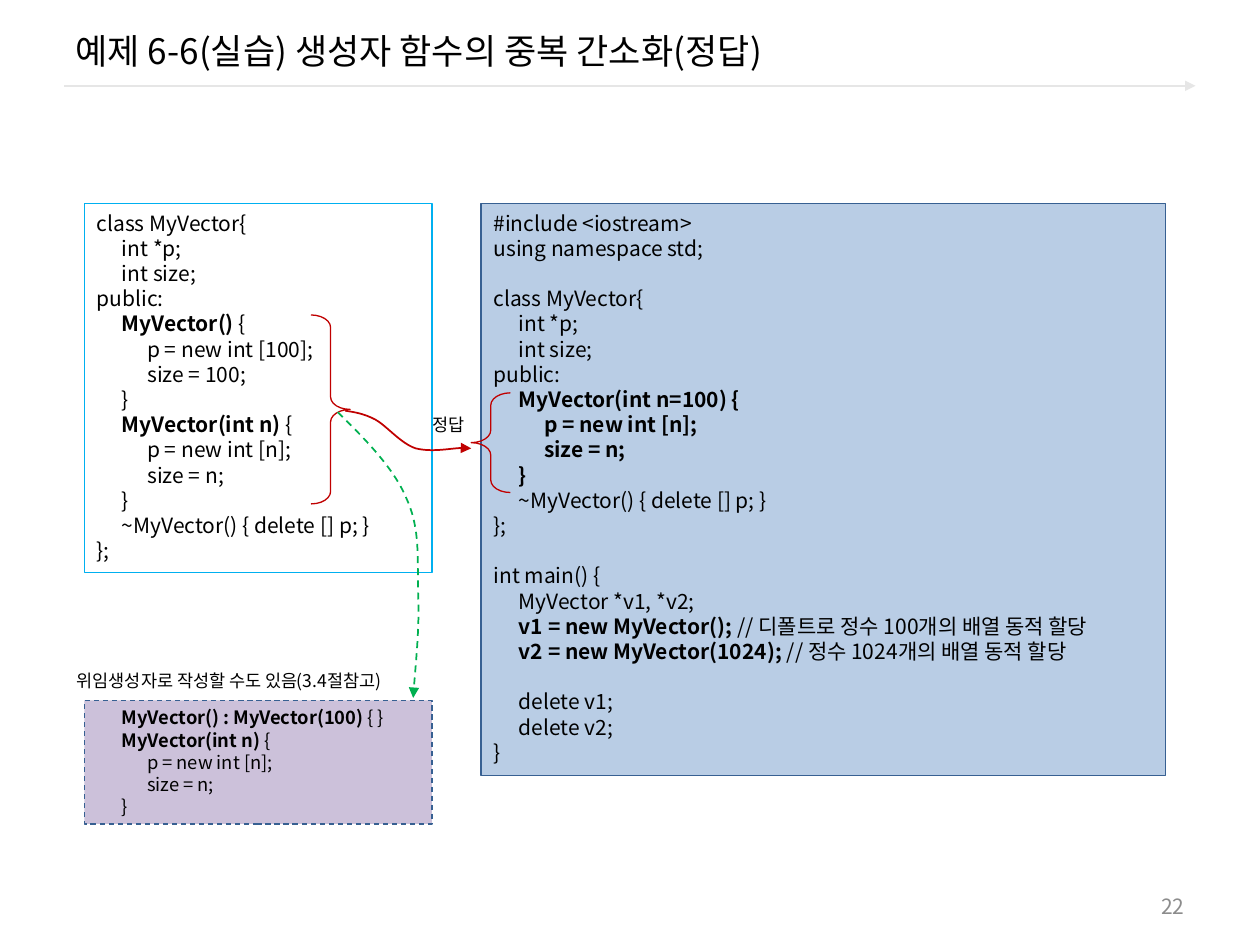
from lxml.etree import SubElement
from pptx import Presentation
from pptx.dml.color import RGBColor
from pptx.enum.dml import MSO_LINE
from pptx.enum.shapes import MSO_CONNECTOR, MSO_SHAPE
from pptx.enum.text import MSO_ANCHOR, PP_ALIGN
from pptx.oxml.ns import qn
from pptx.util import Cm, Pt

FONT = "Noto Sans CJK KR"
BLACK, RED, GREEN, NAVY = "000000", "C00000", "00B050", "376092"
LINE_FACTOR = 1.2
INDENT = 0.51

TITLE = "예제 6-6(실습) 생성자 함수의 중복 간소화(정답)"
PAGE_NUMBER = "22"

# Code lines: (indent level, bold part, plain part); None is a gap of one line.
TWO_CONSTRUCTORS = [
    (0, "", "class MyVector{"),
    (1, "", "int *p;"),
    (1, "", "int size;"),
    (0, "", "public:"),
    (1, "MyVector() ", "{"),
    (2, "", "p = new int [100];"),
    (2, "", "size = 100;"),
    (1, "", "}"),
    (1, "MyVector(int n) ", "{"),
    (2, "", "p = new int [n];"),
    (2, "", "size = n;"),
    (1, "", "}"),
    (1, "", "~MyVector() { delete [] p; }"),
    (0, "", "};"),
]
DEFAULT_ARGUMENT = [
    (0, "", "#include <iostream>"),
    (0, "", "using namespace std;"),
    None,
    (0, "", "class MyVector{"),
    (1, "", "int *p;"),
    (1, "", "int size;"),
    (0, "", "public:"),
    (1, "MyVector(int n=100) {", ""),
    (2, "p = new int [n];", ""),
    (2, "size = n;", ""),
    (1, "}", ""),
    (1, "", "~MyVector() { delete [] p; }"),
    (0, "", "};"),
    None,
    (0, "", "int main() {"),
    (1, "", "MyVector *v1, *v2;"),
    (1, "v1 = new MyVector(); ", "// 디폴트로 정수 100개의 배열 동적 할당"),
    (1, "v2 = new MyVector(1024); ", "// 정수 1024개의 배열 동적 할당"),
    None,
    (1, "", "delete v1;"),
    (1, "", "delete v2;"),
    (0, "", "}"),
]
DELEGATING = [
    (1, "MyVector() : MyVector(100)", " { }"),
    (1, "MyVector(int n) ", "{"),
    (2, "", "p = new int [n];"),
    (2, "", "size = n;"),
    (1, "", "}"),
]

# Boxes in cm: left, top, width, height
CODE_BOXES = [
    (TWO_CONSTRUCTORS, (1.7, 4.11, 7.01, 7.44), 12, None, "00B0F0", None),
    (DEFAULT_ARGUMENT, (9.7, 4.11, 13.79, 11.53), 12, "B9CDE5", NAVY, None),
    (DELEGATING, (1.7, 14.12, 7.01, 2.49), 10.5, "CCC1DA", NAVY, MSO_LINE.DASH),
]
BRACES = [((6.27, 6.35, 0.79, 3.81), False), ((9.5, 7.92, 0.79, 2.01), True)]
LABELS = [
    ("위임생성자로 작성할 수도 있음(3.4절참고)", (1.3, 13.39, 7.26, 0.69)),
    ("정답", (8.46, 8.23, 1.22, 0.69)),
]
# Bezier points in cm: the start, then three for each curve
ANSWER_ARROW = [
    (6.96, 8.28), (7.14, 8.31), (7.32, 8.33), (7.57, 8.46), (7.8, 8.59),
    (8.08, 8.94), (8.38, 9.04), (8.71, 9.12), (9.37, 8.99), (9.5, 9.04),
]
DELEGATE_ARROW = [
    (6.81, 8.31), (7.37, 8.86), (7.95, 9.45), (8.2, 10.06), (8.48, 10.67),
    (8.41, 11.3), (8.43, 11.96), (8.46, 12.62), (8.38, 13.36), (8.33, 14.07),
]

prs = Presentation()
prs.slide_width, prs.slide_height = Cm(25.4), Cm(19.05)
slide = prs.slides.add_slide(prs.slide_layouts[5])
shapes = slide.shapes


def rgb(code):
    return RGBColor.from_string(code)


def cm_all(values):
    return [Cm(value) for value in values]


def add_run(paragraph, text, size, color=BLACK, bold=False):
    run = paragraph.add_run()
    run.text = text
    font = run.font
    font.size, font.bold, font.name = Pt(size), bold, FONT
    font.color.rgb = rgb(color)
    SubElement(run.font._element, qn("a:ea")).set("typeface", FONT)
    paragraph.line_spacing = Pt(size * LINE_FACTOR)


def style_line(line, color, width, dash=None):
    line.color.rgb = rgb(color)
    line.width = Pt(width)
    if dash:
        line.dash_style = dash


def add_arrowhead(line_part):
    line_xml = line_part._element.spPr.find(qn("a:ln"))
    SubElement(line_xml, qn("a:tailEnd")).set("type", "triangle")


def add_label(text, box, size=10, color=BLACK, align=PP_ALIGN.LEFT, anchor=MSO_ANCHOR.TOP):
    frame = shapes.add_textbox(*cm_all(box)).text_frame
    frame.word_wrap = True
    frame.vertical_anchor = anchor
    frame.paragraphs[0].alignment = align
    add_run(frame.paragraphs[0], text, size, color)


def add_code_box(code, box, size, fill, outline, dash):
    panel = shapes.add_shape(MSO_SHAPE.RECTANGLE, *cm_all(box))
    panel.shadow.inherit = False
    if fill:
        panel.fill.solid()
        panel.fill.fore_color.rgb = rgb(fill)
    else:
        panel.fill.background()
    style_line(panel.line, outline, 0.75, dash)
    frame = panel.text_frame
    frame.word_wrap = True
    frame.vertical_anchor = MSO_ANCHOR.TOP
    for index, code_line in enumerate(code):
        if code_line is None:
            continue
        level, bold_part, plain_part = code_line
        paragraph = frame.add_paragraph() if index else frame.paragraphs[0]
        paragraph.alignment = PP_ALIGN.LEFT
        paragraph._p.get_or_add_pPr().set("marL", str(Cm(INDENT * level)))
        if index and code[index - 1] is None:
            paragraph.space_before = Pt(size * LINE_FACTOR)
        for text, bold in ((bold_part, True), (plain_part, False)):
            if text:
                add_run(paragraph, text, size, bold=bold)


def add_brace(box, flipped):
    brace = shapes.add_shape(MSO_SHAPE.RIGHT_BRACE, *cm_all(box))
    brace.shadow.inherit = False
    brace.adjustments[0], brace.adjustments[1] = 0.318, 0.5
    brace.fill.background()
    style_line(brace.line, RED, 0.75)
    if flipped:
        brace._element.spPr.find(qn("a:xfrm")).set("flipH", "1")


def add_curved_arrow(points, color, dash=None):
    """Outline the points with straight segments, then turn each three into a Bezier."""
    start, *others = [cm_all(point) for point in points]
    builder = shapes.build_freeform(*start)
    builder.add_line_segments(others, close=False)
    curve = builder.convert_to_shape()
    curve.shadow.inherit = False
    curve.fill.background()
    style_line(curve.line, color, 1, dash)
    add_arrowhead(curve)
    outline = curve._element.spPr.find(".//" + qn("a:path"))
    segments = outline.findall(qn("a:lnTo"))
    for first in range(0, len(segments), 3):
        bezier = SubElement(outline, qn("a:cubicBezTo"))
        for segment in segments[first:first + 3]:
            bezier.append(segment[0])
            outline.remove(segment)


rule = shapes.add_connector(MSO_CONNECTOR.STRAIGHT, *cm_all((1.3, 1.73, 24.1, 1.73)))
style_line(rule.line, "E6E6E6", 1.5)
add_arrowhead(rule)
SubElement(rule._element.spPr, qn("a:effectLst"))

title = shapes.title
title.left, title.top, title.width, title.height = cm_all((1.27, 0.2, 22.86, 1.63))
title.text_frame.vertical_anchor = MSO_ANCHOR.MIDDLE
title.text_frame.paragraphs[0].alignment = PP_ALIGN.LEFT
add_run(title.text_frame.paragraphs[0], TITLE, 20)

add_label(PAGE_NUMBER, (18.21, 17.86, 5.92, 0.81), 12, "8C8C8C", PP_ALIGN.RIGHT, MSO_ANCHOR.MIDDLE)
for code_box in CODE_BOXES:
    add_code_box(*code_box)
for brace_box, is_flipped in BRACES:
    add_brace(brace_box, is_flipped)
add_curved_arrow(ANSWER_ARROW, RED)
add_curved_arrow(DELEGATE_ARROW, GREEN, MSO_LINE.DASH)
for label_text, label_box in LABELS:
    add_label(label_text, label_box)

prs.save("out.pptx")
